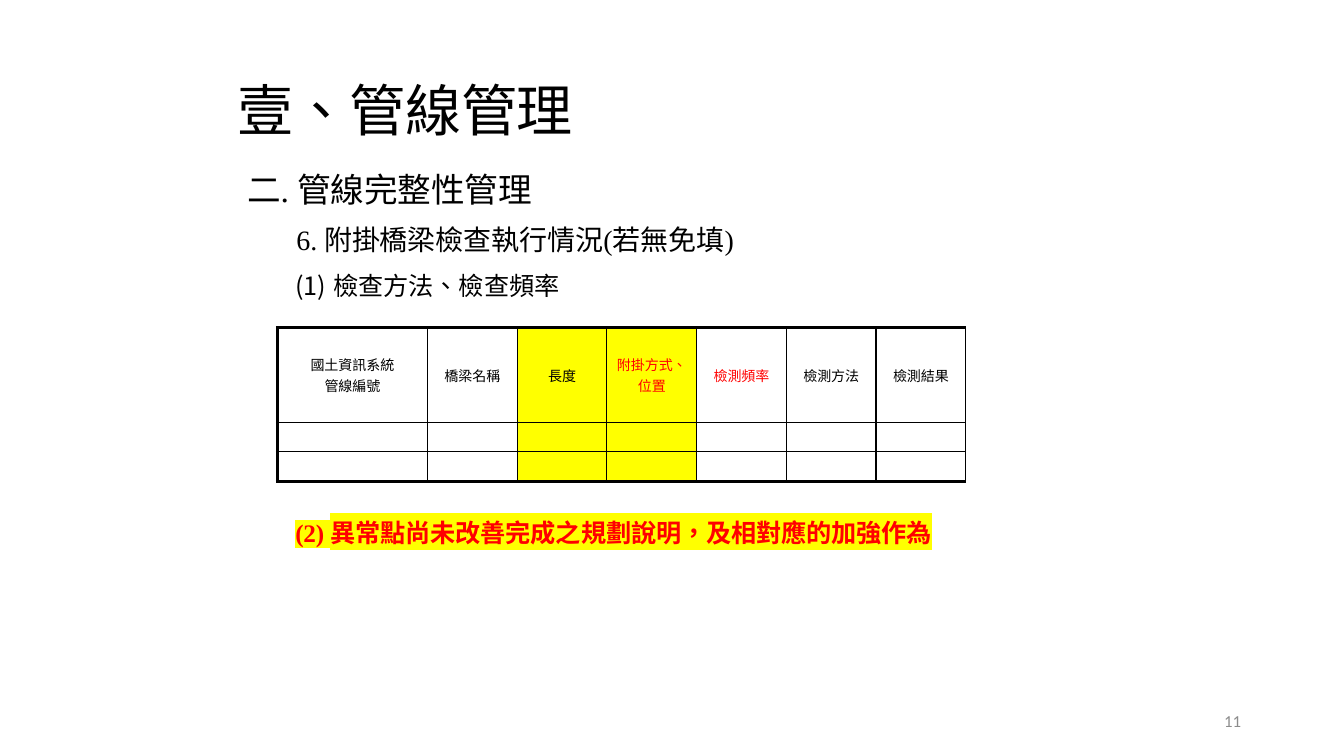
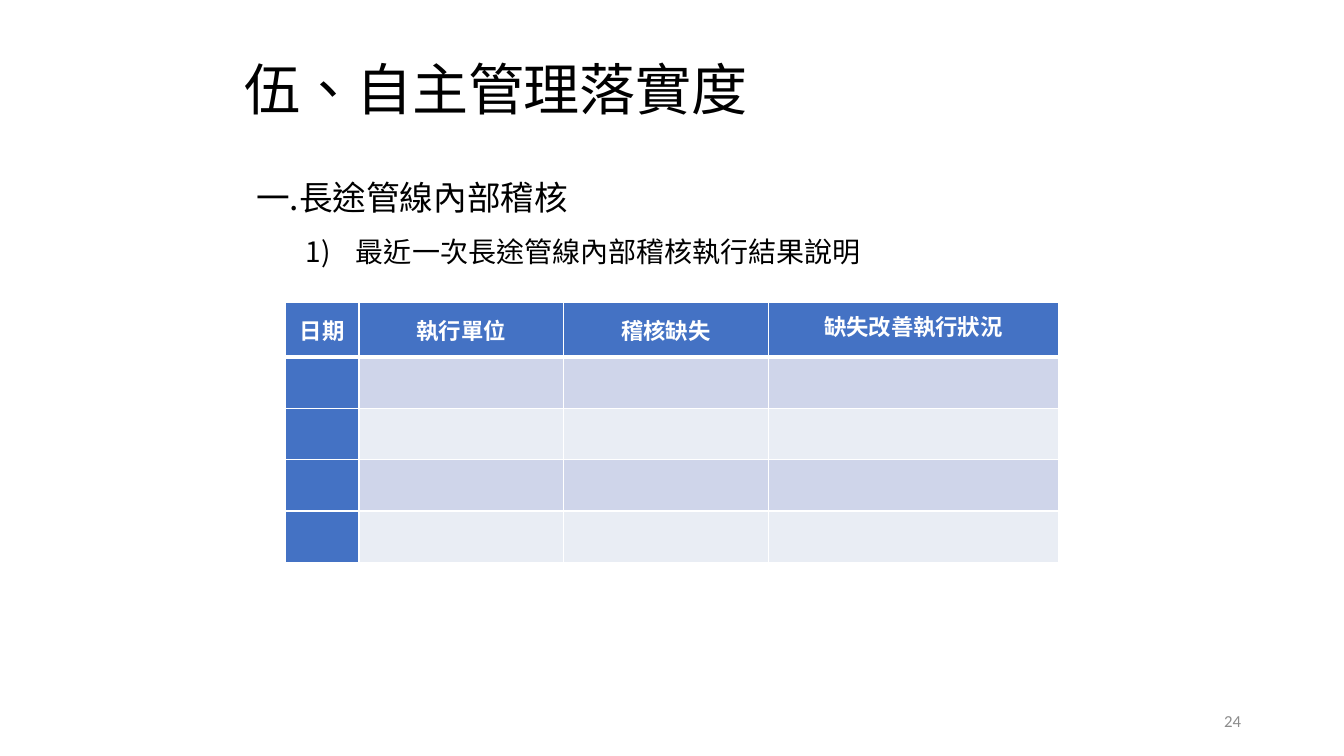
import pptx
import pptx.dml.color
import pptx.enum.text
import pptx.oxml.ns
import pptx.util
from lxml import etree

PX = 9144
SERIF = "Times New Roman"
SANS = "Noto Sans CJK SC"
NUMBER_FONT = "Calibri"
LANGUAGE = "zh-TW"
BLACK = pptx.dml.color.RGBColor(0x00, 0x00, 0x00)
WHITE = pptx.dml.color.RGBColor(0xFF, 0xFF, 0xFF)
RED = pptx.dml.color.RGBColor(0xFF, 0x00, 0x00)
YELLOW = pptx.dml.color.RGBColor(0xFF, 0xFF, 0x00)
GRAY = pptx.dml.color.RGBColor(0x8C, 0x8C, 0x8C)
BLUE = pptx.dml.color.RGBColor(0x44, 0x72, 0xC4)
BAND_DARK = pptx.dml.color.RGBColor(0xCF, 0xD5, 0xEA)
BAND_LIGHT = pptx.dml.color.RGBColor(0xE9, 0xED, 0xF4)
ALIGN = pptx.enum.text.PP_ALIGN
ANCHOR = pptx.enum.text.MSO_ANCHOR
qn = pptx.oxml.ns.qn


def px(value):
    return pptx.util.Emu(value * PX)


def add_element(parent, tag, **attributes):
    return etree.SubElement(parent, qn(tag), attributes)


def write_paragraph(frame, text, font=SERIF, size=18, color=BLACK, bold=False,
                    align=ALIGN.LEFT, line=1.0, after=0, left=0, indent=0,
                    number=None, tracking=0, highlight=None):
    paragraph = frame.paragraphs[0]
    if paragraph.runs:
        paragraph = frame.add_paragraph()
    paragraph.alignment = align
    paragraph.line_spacing = line
    paragraph.space_before = pptx.util.Pt(0)
    paragraph.space_after = pptx.util.Pt(after)
    properties = paragraph._p.get_or_add_pPr()
    properties.set("marL", str(px(left)))
    properties.set("indent", str(px(indent)))
    if number:
        add_element(properties, "a:buFont", typeface=SANS)
        add_element(properties, "a:buAutoNum", type=number)
    else:
        add_element(properties, "a:buNone")
    if not text:
        add_element(paragraph._p, "a:endParaRPr", sz=str(size * 100))
        return
    run = paragraph.add_run()
    run.text = text
    run.font.size = pptx.util.Pt(size)
    run.font.bold = bold
    run.font.color.rgb = color
    run_properties = run._r.get_or_add_rPr()
    run_properties.set("lang", LANGUAGE)
    if tracking:
        run_properties.set("spc", str(tracking))
    if highlight is not None:
        mark = add_element(run_properties, "a:highlight")
        add_element(mark, "a:srgbClr", val=str(highlight))
    add_element(run_properties, "a:latin", typeface=font)
    add_element(run_properties, "a:ea", typeface=SANS)


def place(shape, box, anchor=ANCHOR.TOP):
    shape.left, shape.top, shape.width, shape.height = map(px, box)
    frame = shape.text_frame
    frame.word_wrap = True
    frame.auto_size = pptx.enum.text.MSO_AUTO_SIZE.NONE
    frame.vertical_anchor = anchor
    return frame


def add_text(slide, box, text, anchor=ANCHOR.TOP, **text_format):
    shape = slide.shapes.add_textbox(0, 0, 0, 0)
    write_paragraph(place(shape, box, anchor), text, **text_format)


def add_content_slide(presentation, title, title_box, number, font):
    slide = presentation.slides.add_slide(presentation.slide_layouts[1])
    frame = place(slide.shapes.title, title_box, ANCHOR.MIDDLE)
    frame.margin_left = frame.margin_right = 0
    frame.margin_top = frame.margin_bottom = 0
    write_paragraph(frame, title, font=font, size=40, line=0.9, left=1,
                    tracking=-10)
    add_text(slide, (941, 695, 300, 40), number, anchor=ANCHOR.MIDDLE,
             font=NUMBER_FONT, size=12, color=GRAY, align=ALIGN.RIGHT)
    return slide


def add_table(slide, left, top, columns, rows):
    frame = slide.shapes.add_table(len(rows), len(columns), px(left), px(top),
                                   px(sum(columns)), px(sum(rows)))
    table = frame.table
    table.first_row = table.horz_banding = False
    for column, width in zip(table.columns, columns):
        column.width = px(width)
    for row, height in zip(table.rows, rows):
        row.height = px(height)
    return table


def format_cell(cell, text, fill, border_color, borders, **text_format):
    cell.margin_left = cell.margin_right = px(7)
    cell.margin_top = cell.margin_bottom = 0
    cell.vertical_anchor = ANCHOR.MIDDLE
    for line in text.split("\n"):
        write_paragraph(cell.text_frame, line, align=ALIGN.CENTER,
                        **text_format)
    properties = cell._tc.get_or_add_tcPr()
    for side, width in zip("LRTB", borders):
        border = add_element(properties, "a:ln" + side,
                             w=str(pptx.util.Pt(width)))
        solid = add_element(border, "a:solidFill")
        add_element(solid, "a:srgbClr", val=str(border_color))
    if fill is None:
        cell.fill.background()
    else:
        cell.fill.solid()
        cell.fill.fore_color.rgb = fill


def add_bridge_table(slide):
    headers = ["國土資訊系統\n管線編號", "橋梁名稱", "長度", "附掛方式、位置",
               "檢測頻率", "檢測方法", "檢測結果"]
    highlighted = (2, 3)
    revised = (3, 4)
    rows = [94, 29, 30]
    table = add_table(slide, 275, 325, [149] + [89] * 6, rows)
    for r in range(len(rows)):
        for c, header in enumerate(headers):
            borders = (2.25 if c == 0 else 1, 1, 2.25 if r == 0 else 1,
                       2.25 if r == len(rows) - 1 else 1)
            format_cell(table.cell(r, c), header if r == 0 else "",
                        YELLOW if c in highlighted else None, BLACK, borders,
                        size=10, color=RED if c in revised else BLACK)


def add_audit_table(slide):
    headers = ["日期", "執行單位", "稽核缺失", "缺失改善執行狀況"]
    rows = [54] + [51] * 4
    table = add_table(slide, 283, 300, [73, 203, 203, 288], rows)
    for r in range(len(rows)):
        for c, header in enumerate(headers):
            band = BAND_DARK if r % 2 else BAND_LIGHT
            fill = BLUE if r == 0 or c == 0 else band
            borders = (1, 1, 3 if r == 1 else 1, 3 if r == 0 else 1)
            exact = r == 0 and c == len(headers) - 1
            format_cell(table.cell(r, c), header if r == 0 else "", fill,
                        WHITE, borders, font=SANS, size=16, color=WHITE,
                        bold=True, line=pptx.util.Pt(18) if exact else 1.0)


def build_pipeline_slide(presentation):
    slide = add_content_slide(presentation, "壹、管線管理",
                              (235, 82, 862, 61), "11", SERIF)
    frame = place(slide.placeholders[1], (235, 167, 835, 341))
    shared = dict(line=0.9, after=12, tracking=-10)
    write_paragraph(frame, "二. 管線完整性管理", size=24, **shared)
    write_paragraph(frame, "6. 附掛橋梁檢查執行情況(若無免填)", size=20,
                    left=49, **shared)
    write_paragraph(frame, "檢查方法、檢查頻率", font=SANS, size=18, left=86,
                    indent=-38, number="arabicParenBoth", **shared)
    add_bridge_table(slide)
    add_text(slide, (283, 508, 675, 40),
             "(2) 異常點尚未改善完成之規劃說明，及相對應的加強作為",
             color=RED, bold=True, after=12, tracking=-10, highlight=YELLOW)


def build_audit_slide(presentation):
    slide = add_content_slide(presentation, "伍、自主管理落實度",
                              (242, 61, 763, 61), "24", SANS)
    frame = place(slide.placeholders[1], (244, 153, 825, 115), ANCHOR.MIDDLE)
    write_paragraph(frame, "一.長途管線內部稽核", font=SANS, size=24, line=1.5)
    write_paragraph(frame, "最近一次長途管線內部稽核執行結果說明", font=SANS,
                    size=20, line=1.5, left=99, indent=-50,
                    number="arabicParenR")
    add_audit_table(slide)


def main():
    presentation = pptx.Presentation()
    presentation.slide_width = px(1333)
    presentation.slide_height = px(750)
    build_pipeline_slide(presentation)
    build_audit_slide(presentation)
    presentation.save("out.pptx")


if __name__ == "__main__":
    main()
